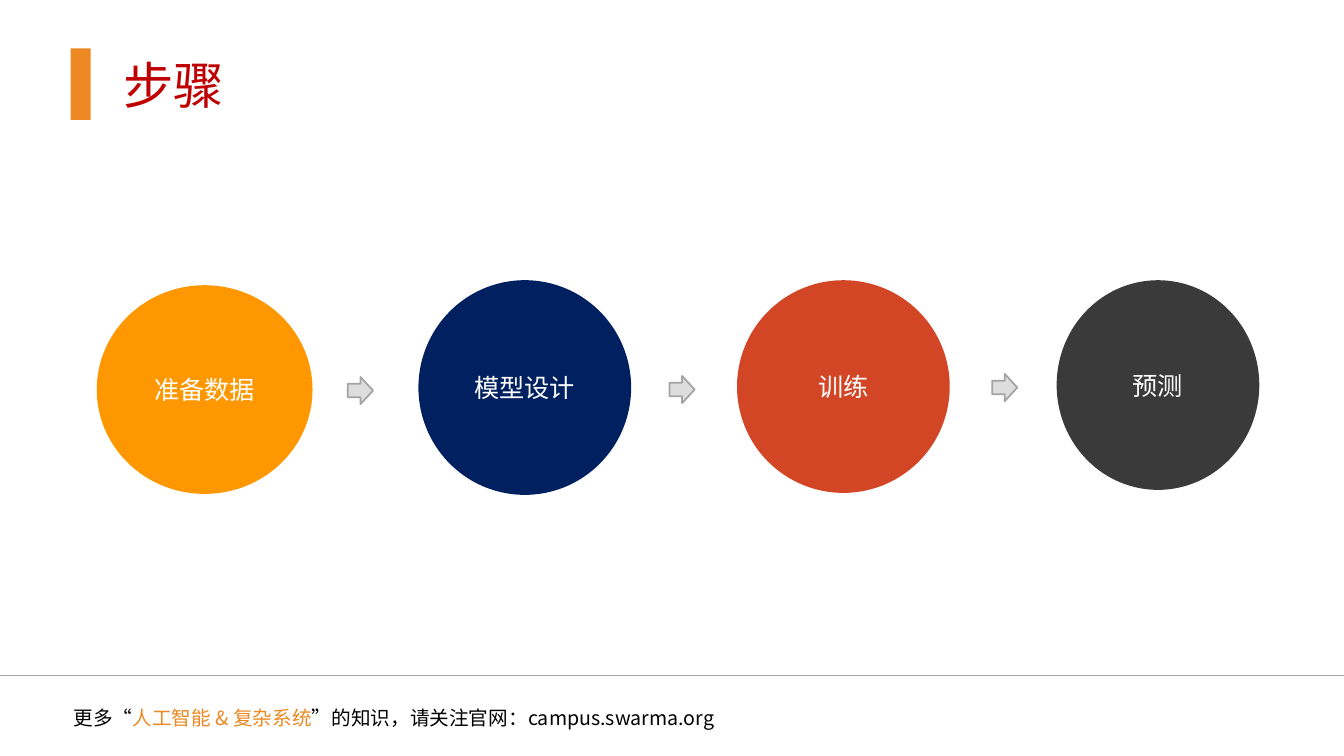
from dataclasses import dataclass
from pptx import Presentation
from pptx.dml.color import RGBColor as RGB
from pptx.enum.shapes import MSO_CONNECTOR as LINE, MSO_SHAPE as SHAPE
from pptx.enum.text import MSO_ANCHOR as ANCHOR, PP_ALIGN as ALIGN
from pptx.oxml.ns import qn
from pptx.util import Inches, Pt

TITLE = "步骤"
STEPS = [
    ("准备数据", "FF9800", (0.96, 2.83, 2.14, 2.07)),
    ("模型设计", "002060", (4.15, 2.78, 2.11, 2.13)),
    ("训练", "D24626", (7.31, 2.78, 2.11, 2.11)),
    ("预测", "3A3A3A", (10.48, 2.78, 2.01, 2.08)),
]
ARROWS = [(3.45, 3.74), (6.64, 3.73), (9.84, 3.71)]
ARROW_SIZE = (0.25, 0.27)


@dataclass(frozen=True)
class Theme:
    accent: str = "EC8922"
    title: str = "C00000"
    text: str = "000000"
    light: str = "FFFFFF"
    arrow: str = "DDDDDD"
    edge: str = "A3A3A3"
    latin: str = "Calibri"
    cjk: str = "Noto Sans CJK SC"
    title_size: int = 36
    step_size: int = 18
    footer_size: int = 14


T = Theme()
FOOTER = [
    ("更多“", T.text),
    ("人工智能 & 复杂系统", T.accent),
    ("”的知识，请关注官网：campus.swarma.org", T.text),
]


def box(values):
    return [Inches(v) for v in values]


def add_run(p, text, size, color, font):
    r = p.add_run()
    r.text = text
    r.font.size = Pt(size)
    r.font.color.rgb = RGB.from_string(color)
    r.font.name = font
    ea = r.font._element.makeelement(qn("a:ea"), {"typeface": T.cjk})
    r.font._element.find(qn("a:latin")).addnext(ea)


def add_shape(s, kind, place, fill, edge=None):
    sp = s.shapes.add_shape(kind, *box(place))
    sp.shadow.inherit = False
    sp.fill.solid()
    sp.fill.fore_color.rgb = RGB.from_string(fill)
    if edge:
        sp.line.color.rgb = RGB.from_string(edge)
        sp.line.width = Pt(1.25)
    else:
        sp.line.fill.background()
    return sp


def add_title(s):
    add_shape(s, SHAPE.RECTANGLE, (0.7, 0.48, 0.2, 0.71), T.accent)
    sp = s.shapes.title
    sp.left, sp.top, sp.width, sp.height = box((1.12, 0.48, 3.72, 0.71))
    tf = sp.text_frame
    tf.vertical_anchor = ANCHOR.MIDDLE
    p = tf.paragraphs[0]
    p.alignment = ALIGN.LEFT
    add_run(p, TITLE, T.title_size, T.title, T.cjk)


def add_steps(s):
    for name, color, place in STEPS:
        tf = add_shape(s, SHAPE.OVAL, place, color).text_frame
        tf.vertical_anchor = ANCHOR.MIDDLE
        p = tf.paragraphs[0]
        p.alignment = ALIGN.CENTER
        add_run(p, name, T.step_size, T.light, T.latin)
    for corner in ARROWS:
        add_shape(s, SHAPE.RIGHT_ARROW, corner + ARROW_SIZE, T.arrow, T.edge)


def add_footer(s):
    rule = s.shapes.add_connector(LINE.STRAIGHT, *box((0, 6.7, 13.33, 6.7)))
    rule.line.color.rgb = RGB.from_string(T.edge)
    rule.line.width = Pt(1)
    pr = rule._element.spPr
    pr.append(pr.makeelement(qn("a:effectLst"), {}))
    tf = s.shapes.add_textbox(*box((0.63, 6.95, 7.85, 0.34))).text_frame
    tf.word_wrap = True
    for text, color in FOOTER:
        add_run(tf.paragraphs[0], text, T.footer_size, color, T.cjk)


def main():
    prs = Presentation()
    prs.slide_width, prs.slide_height = box((13.33, 7.5))
    s = prs.slides.add_slide(prs.slide_layouts[5])
    add_title(s)
    add_steps(s)
    add_footer(s)
    prs.save("out.pptx")


if __name__ == "__main__":
    main()
